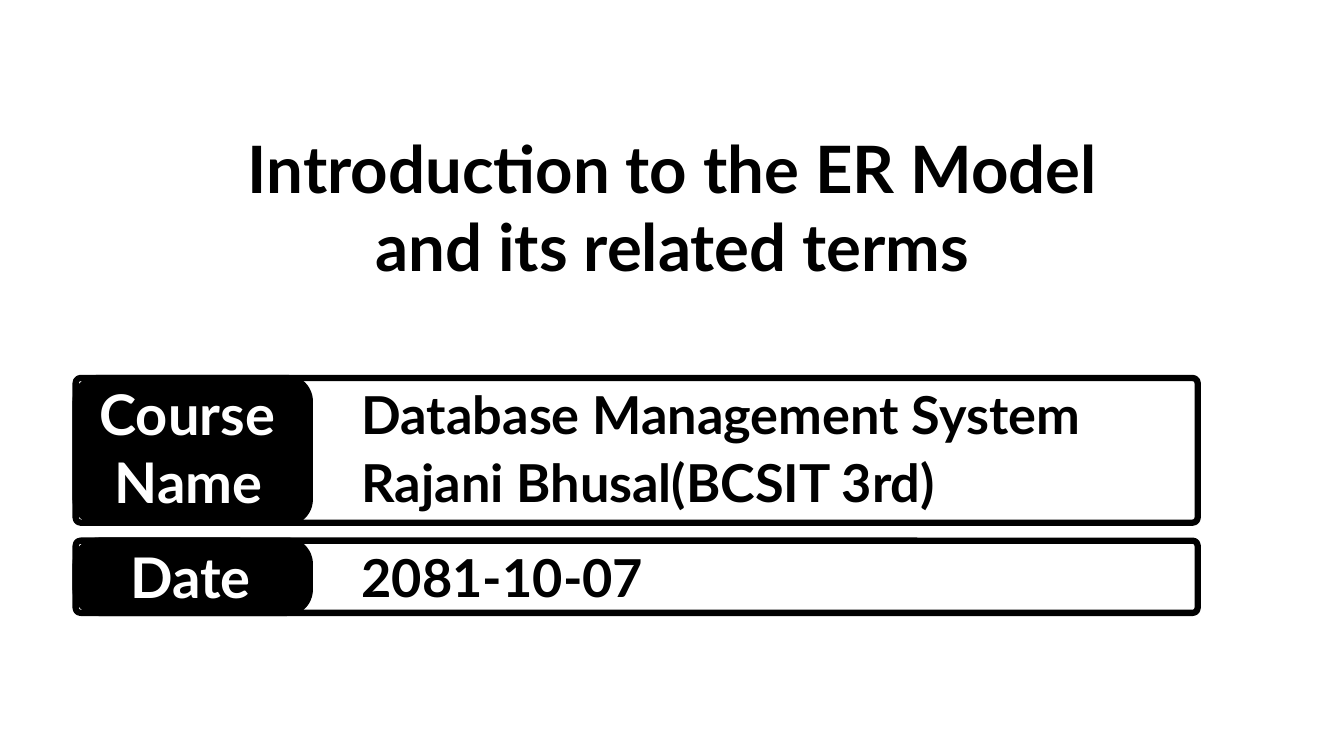
from pptx import Presentation
from pptx.dml.color import RGBColor
from pptx.enum.shapes import MSO_SHAPE
from pptx.enum.text import PP_ALIGN
from pptx.util import Cm, Pt

ROUNDED = MSO_SHAPE.ROUNDED_RECTANGLE
LEFT, CENTER = PP_ALIGN.LEFT, PP_ALIGN.CENTER
BLACK = RGBColor(0x00, 0x00, 0x00)
WHITE = RGBColor(0xFF, 0xFF, 0xFF)

prs = Presentation()
prs.slide_width, prs.slide_height = Cm(50.8), Cm(28.58)
slide = prs.slides.add_slide(prs.slide_layouts[6])


def add_panel(top, width, height, radius, fill):
    panel = slide.shapes.add_shape(ROUNDED, Cm(2.86), Cm(top), Cm(width), Cm(height))
    panel.adjustments[0] = radius / min(width, height)
    panel.shadow.inherit = False
    panel.fill.solid()
    panel.fill.fore_color.rgb = fill
    panel.line.color.rgb = BLACK
    panel.line.width = Pt(6.75)


def add_line(text, left, top, width, height, size, color, align=LEFT):
    box = slide.shapes.add_textbox(Cm(left), Cm(top), Cm(width), Cm(height))
    frame = box.text_frame
    frame.word_wrap = True
    for side in ("left", "top", "right", "bottom"):
        setattr(frame, f"margin_{side}", 0)
    paragraph = frame.paragraphs[0]
    paragraph.alignment = align
    paragraph.line_spacing = Pt(size * 1.4)
    run = paragraph.add_run()
    run.text = text
    font_format = {"name": "Lato", "size": Pt(size), "bold": True}
    for attribute, value in font_format.items():
        setattr(run.font, attribute, value)
    run.font.color.rgb = color


# Title, one box per line
for number, title in enumerate(["Introduction to the ER Model", "and its related terms"]):
    add_line(title, 5.54, 4.34 + number * 2.95, 39.75, 3.33, 70, BLACK, CENTER)

# Framed rows with a black label tab
for top, height in [(14.29, 5.47), (20.44, 2.73)]:
    add_panel(top, 42.41, height, 0.19, WHITE)
    add_panel(top, 8.85, height, 0.88, BLACK)

# Labels and their values: label, left, width, top, value
details = [
    ("Course", 3.76, 7.06, 13.94, "Database Management System"),
    ("Name", 4.34, 5.89, 16.48, "Rajani Bhusal(BCSIT 3rd)"),
    ("Date", 4.93, 4.7, 20.09, "2081-10-07"),
]
for label, left, width, top, value in details:
    add_line(label, left, top, width, 2.9, 60, WHITE)
    add_line(value, 13.67, top + 0.13, 29.34, 2.67, 56, BLACK)

prs.save("out.pptx")
